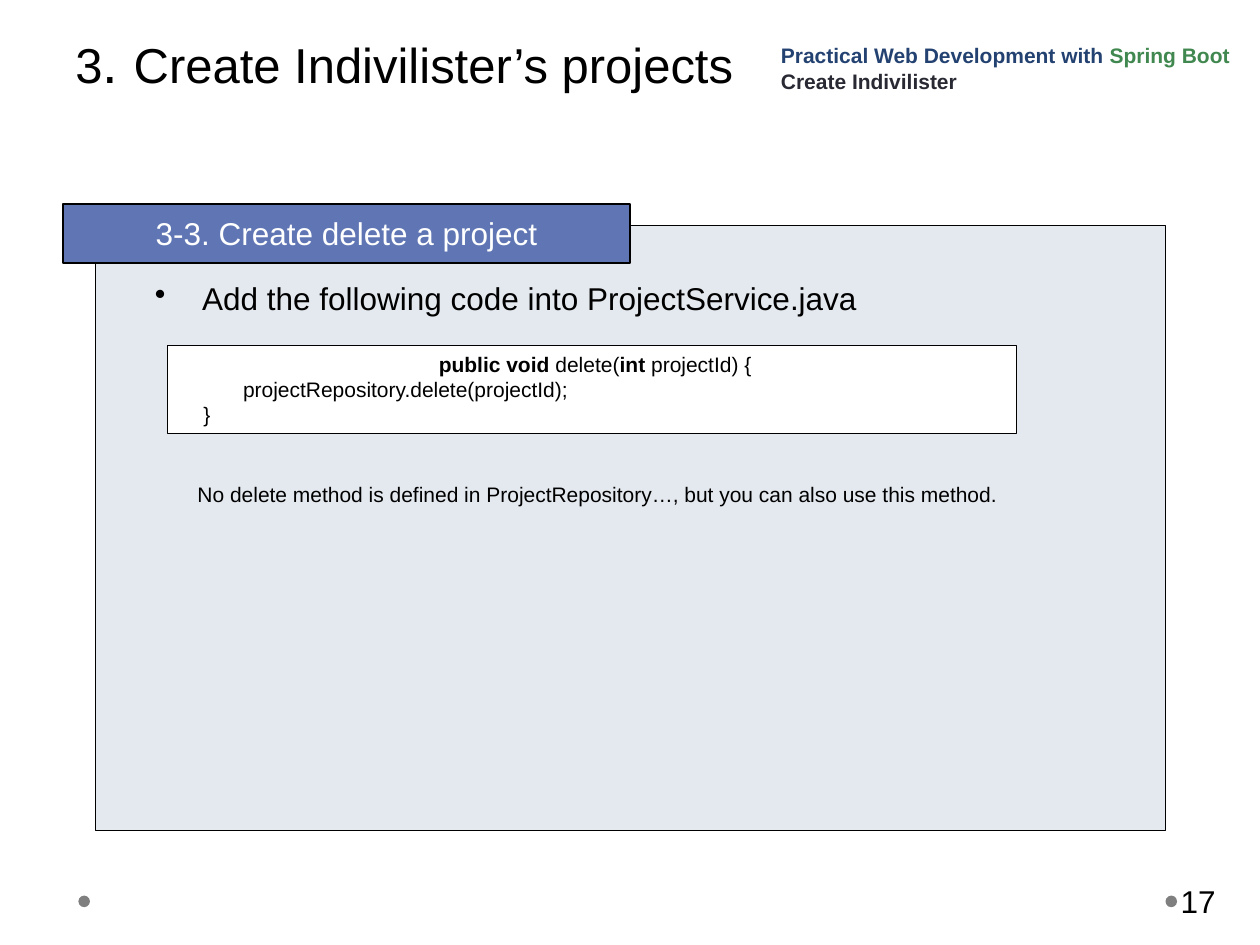
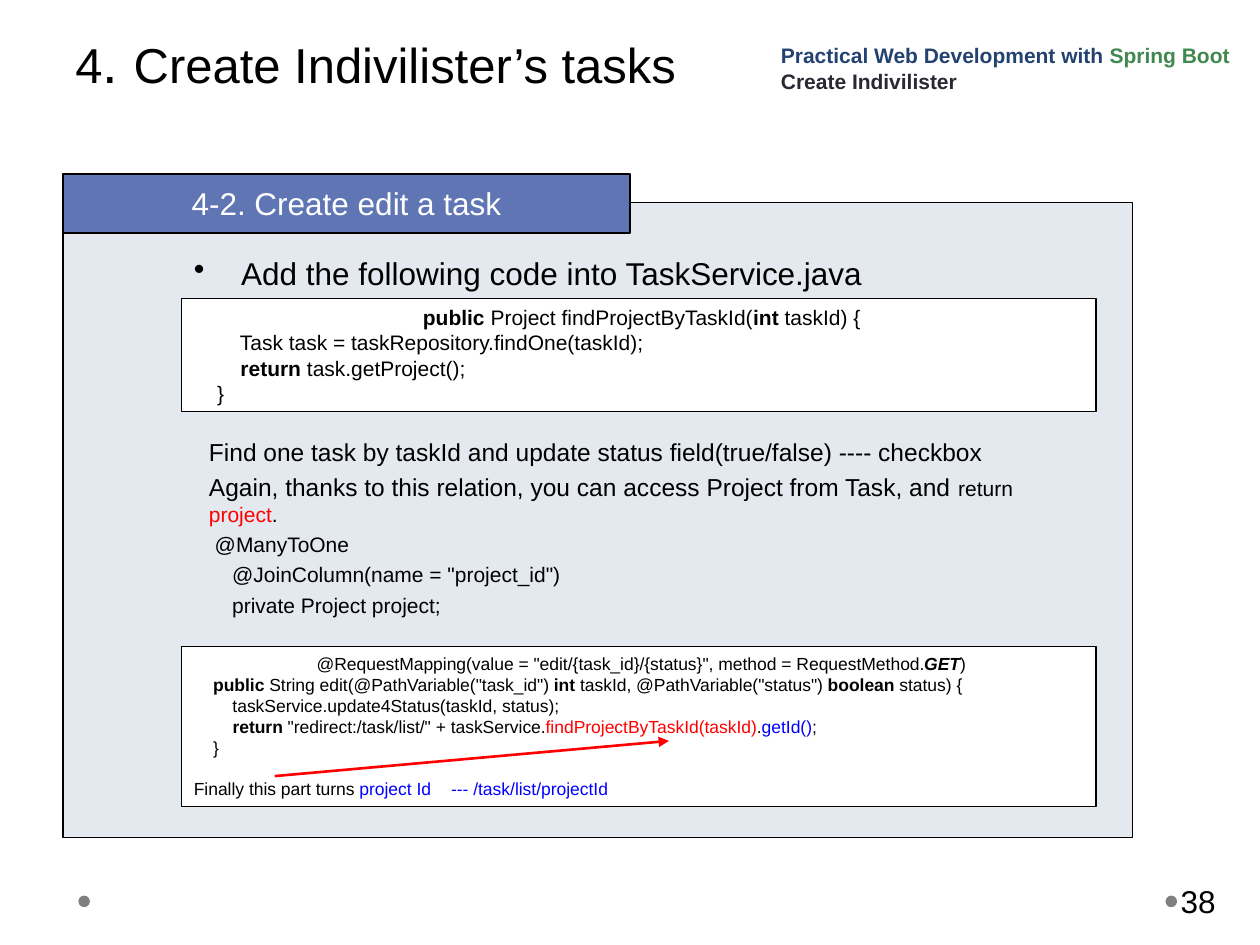
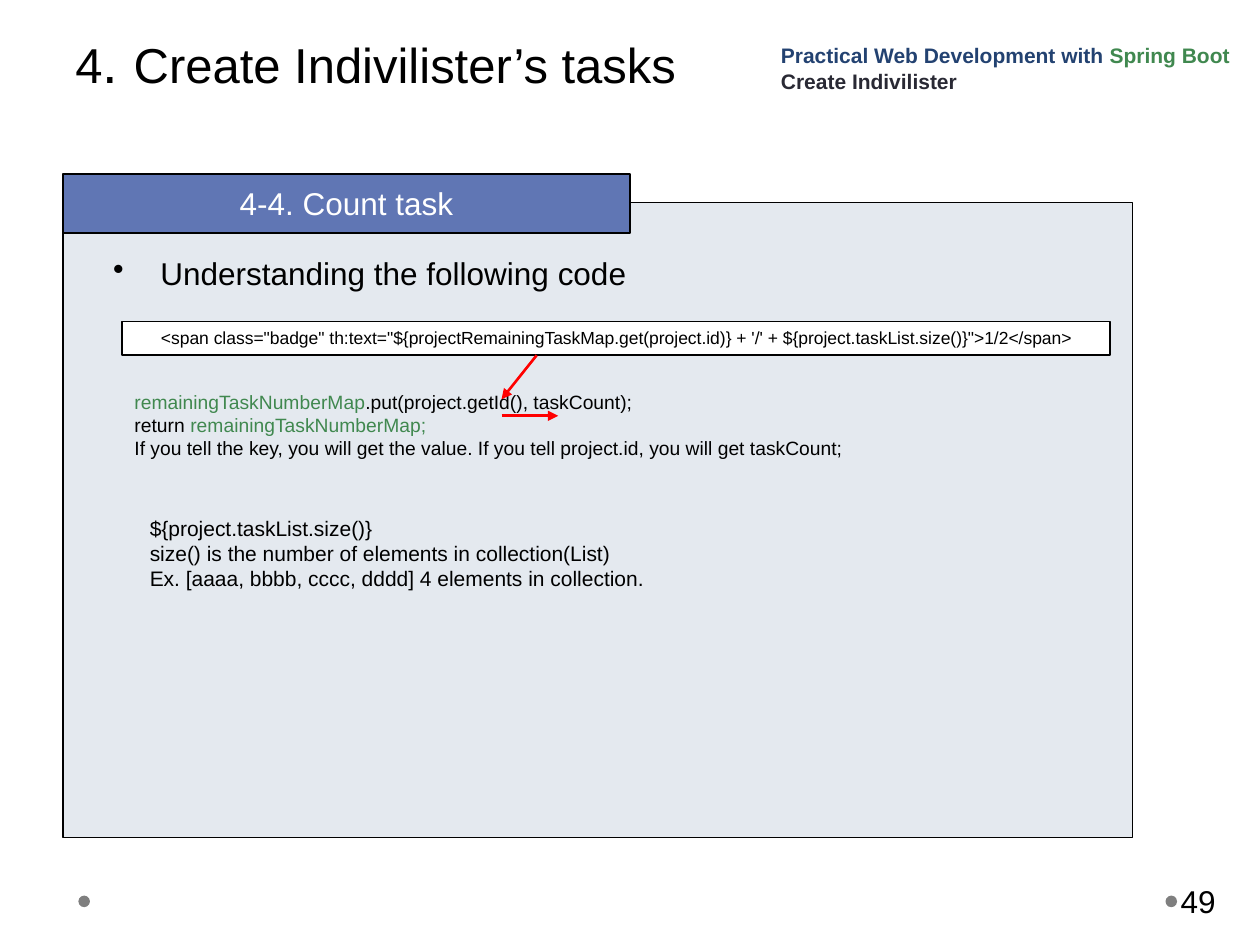
from dataclasses import dataclass

from lxml import etree
from pptx import Presentation
from pptx.dml.color import RGBColor
from pptx.enum.shapes import MSO_CONNECTOR, MSO_SHAPE
from pptx.enum.text import MSO_ANCHOR
from pptx.oxml.ns import qn
from pptx.util import Pt

RECTANGLE = MSO_SHAPE.RECTANGLE
OVAL = MSO_SHAPE.OVAL
STRAIGHT = MSO_CONNECTOR.STRAIGHT
TOP = MSO_ANCHOR.TOP
MIDDLE = MSO_ANCHOR.MIDDLE
BOTTOM = MSO_ANCHOR.BOTTOM

FONT = "Arial"
BLACK, WHITE, GRAY = "000000", "FFFFFF", "7F7F7F"
PANEL_FILL, BAND_FILL = "E4E9EF", "6076B4"
NAVY, GREEN, DARK = "234271", "40884F", "292934"
RED, BLUE = "FF0000", "0000FF"


@dataclass
class Box:
    left: float
    top: float
    width: float
    height: float

    def inside(self, dx, dy, width, height):
        return Box(self.left + dx, self.top + dy, width, height)

    def lengths(self):
        return [Pt(n) for n in (self.left, self.top, self.width, self.height)]


PAGE = Box(0, 0, 720, 540)
FIRST_PANEL = Box(54.7, 128.9, 611.3, 345.6)
TASK_PANEL = Box(36, 115.9, 611.3, 362.9)


def rgb(value):
    return RGBColor.from_string(value)


def bold(text, **style):
    return text, {"bold": True, **style}


def tinted(text, color, **style):
    return text, {"color": color, **style}


def sized(text, size):
    return text, {"size": size}


def add_child(parent, tag, **attributes):
    return etree.SubElement(parent, qn(tag), attributes)


def format_paragraph(para, bullet, tab):
    properties = para._p.get_or_add_pPr()
    if bullet:
        properties.set("marL", str(Pt(27)))
        properties.set("indent", str(-Pt(27)))
        add_child(add_child(properties, "a:buClr"), "a:srgbClr", val=BLACK)
        add_child(properties, "a:buChar", char="•")
    if tab:
        tabs = add_child(properties, "a:tabLst")
        add_child(tabs, "a:tab", pos=str(Pt(tab)), algn="l")


def write_text(shape, lines, size=12, color=BLACK, bold=False, anchor=TOP,
               insets=(7.2, 3.6, 7.2, 3.6), gap=0, spacing=None,
               bullet=False, tab=None):
    frame = shape.text_frame
    frame.word_wrap = True
    frame.vertical_anchor = anchor
    (frame.margin_left, frame.margin_top,
     frame.margin_right, frame.margin_bottom) = [Pt(n) for n in insets]
    for index, line in enumerate(lines):
        para = frame.add_paragraph() if index else frame.paragraphs[0]
        format_paragraph(para, bullet, tab)
        if index and gap:
            para.space_before = Pt(gap)
        if spacing:
            para.line_spacing = spacing
        for part in [line] if isinstance(line, str) else line:
            text, style = (part, {}) if isinstance(part, str) else part
            span = para.add_run()
            span.text = text
            span.font.name = FONT
            span.font.size = Pt(style.get("size", size))
            span.font.bold = style.get("bold", bold)
            span.font.italic = style.get("italic", False)
            span.font.color.rgb = rgb(style.get("color", color))
    return frame


def add_text(page, box, lines, **style):
    return write_text(page.shapes.add_textbox(*box.lengths()), lines, **style)


def add_shape(page, box, fill, kind=RECTANGLE, outline=BLACK):
    shape = page.shapes.add_shape(kind, *box.lengths())
    shape.shadow.inherit = False
    shape.fill.solid()
    shape.fill.fore_color.rgb = rgb(fill)
    if outline:
        shape.line.color.rgb = rgb(outline)
        shape.line.width = Pt(0.75)
    else:
        shape.line.fill.background()
    return shape


def add_code(page, box, lines, **style):
    return write_text(add_shape(page, box, WHITE), lines, **style)


def add_arrow(page, box, start, end):
    points = [Pt(n) for x, y in (start, end)
              for n in (box.left + x, box.top + y)]
    arrow = page.shapes.add_connector(STRAIGHT, *points)
    arrow.line.color.rgb = rgb(RED)
    arrow.line.width = Pt(1.5)
    add_child(arrow.line._get_or_add_ln(), "a:tailEnd", type="triangle")
    add_child(arrow._element.spPr, "a:effectLst")


def add_footer(page, box, number):
    for dx in (666, 44.8):
        add_shape(page, box.inside(dx, 511.8, 6.6, 6.6), GRAY, OVAL, None)
    add_text(page, box.inside(672.5, 500.4, 44, 28.8), [number], size=18,
             anchor=MIDDLE, insets=(2.2, 3.6, 3.6, 3.6))


def add_header(page, box, number, title):
    add_text(page, box.inside(36, 0, 648, 116),
             [[number, sized(". ", 32), title]],
             size=28, insets=(7.2, 15.6, 7.2, 3.6))
    add_text(page, box.inside(439.2, 17.3, 280.8, 39.6),
             [["Practical Web Development with ",
               tinted("Spring Boot", GREEN, bold=True)],
              [tinted("Create Indivilister", DARK, bold=True)]],
             color=NAVY, bold=True, anchor=BOTTOM)


def add_panel(page, box, heading, band_at, bullet, bullet_box):
    add_shape(page, box, PANEL_FILL)
    band = add_shape(page, box.inside(*band_at, 324, 33.8), BAND_FILL)
    write_text(band, [heading], size=18, color=WHITE, spacing=1.1)
    add_text(page, box.inside(*bullet_box, 28.8), [bullet],
             size=18, bullet=True)


def add_page(deck, page_number, chapter, title):
    page = deck.slides.add_slide(deck.slide_layouts[6])
    add_footer(page, PAGE, page_number)
    add_header(page, PAGE, chapter, title)
    return page


def build_delete_project(deck, panel):
    page = add_page(deck, "17", "3", "Create Indivilister’s projects")
    add_panel(page, panel, "3-3. Create delete a project", (-18.7, -12.3),
              "Add the following code into ProjectService.java",
              (26.7, 27.3, 557.3))
    add_text(page, panel.inside(51.1, 142.5, 491.8, 97.2),
             ["No delete method is defined in ProjectRepository…, "
              "but you can also use this method."])
    add_code(page, panel.inside(41.1, 68.4, 485.3, 50.4), [
        [" ", bold("public void"), " delete(", bold("int"), " projectId) {"],
        "\tprojectRepository.delete(projectId);",
        "    }",
    ], tab=36)


def build_edit_task(deck, panel):
    page = add_page(deck, "38", "4", "Create Indivilister’s tasks")
    add_panel(page, panel, "4-2. Create edit a task", (0, -16.5),
              "Add the following code into TaskService.java",
              (67.7, 25.9, 557.3))
    add_text(page, panel.inside(76.3, 130.3, 493.2, 108), [
        [sized("Find one task by taskId and update status field(true/false) "
               "---- checkbox", 14)],
        [sized("Again, thanks to this relation, you can access Project from "
               "Task, and ", 14), "return ", tinted("project", RED), "."],
        " @ManyToOne",
        '    @JoinColumn(name = "project_id")',
        "    private Project project;",
    ], gap=3)
    add_code(page, panel.inside(67.7, 54.7, 522.7, 64.8), [
        [" ", bold("public"), " Project findProjectByTaskId(", bold("int"),
         " taskId) {"],
        "        Task task = taskRepository.findOne(taskId);",
        ["        ", bold("return"), " task.getProject();"],
        "    }",
    ])
    controller = add_code(page, panel.inside(67.7, 253.5, 522.7, 91.4), [
        [' @RequestMapping(value = "edit/{task_id}/{status}", '
         "method = RequestMethod.", bold("GET", italic=True), ")"],
        ["    ", bold("public"), ' String edit(@PathVariable("task_id") ',
         bold("int"), ' taskId, @PathVariable("status") ', bold("boolean"),
         " status) {"],
        "        taskService.update4Status(taskId, status);",
        ["        ", bold("return"),
         ' "redirect:/task/list/" + taskService.',
         tinted("findProjectByTaskId(taskId)", RED), ".",
         tinted("getId()", BLUE), ";"],
        "    }",
        ["Finally this part turns ",
         tinted("project Id\t--- /task/list/projectId", BLUE)],
    ], size=10, tab=147)
    controller.paragraphs[-1].space_before = Pt(11.5)
    add_arrow(page, panel, (121, 327.6), (346.3, 307.5))


def build_count_task(deck, panel):
    page = add_page(deck, "49", "4", "Create Indivilister’s tasks")
    add_panel(page, panel, "4-4. Count task", (0, -16.5),
              "Understanding the following code", (21.6, 25.9, 589.7))
    add_code(page, panel.inside(33.8, 67.7, 564.5, 19.4), [
        '<span class="badge" th:text="${projectRemainingTaskMap.get(project.id)}'
        " + '/' + ${project.taskList.size()}\">1/2</span>",
    ], size=10)
    add_text(page, panel.inside(33.8, 103.7, 542.2, 46.8), [
        [tinted("remainingTaskNumberMap", GREEN),
         ".put(project.getId(), taskCount);"],
        ["return ", tinted("remainingTaskNumberMap;", GREEN)],
        "If you tell the key, you will get the value. "
        "If you tell project.id, you will get taskCount;",
    ], size=11)
    add_arrow(page, panel, (270.7, 87.1), (250.6, 112.3))
    add_arrow(page, panel, (250.6, 121.7), (283, 121.7))
    add_text(page, panel.inside(42.5, 175, 430.6, 50.4), [
        "${project.taskList.size()}",
        "size() is the number of elements in collection(List)",
        "Ex. [aaaa, bbbb, cccc, dddd] 4 elements in collection.",
    ])


def main():
    deck = Presentation()
    deck.slide_width, deck.slide_height = Pt(PAGE.width), Pt(PAGE.height)
    build_delete_project(deck, FIRST_PANEL)
    build_edit_task(deck, TASK_PANEL)
    build_count_task(deck, TASK_PANEL)
    deck.save("out.pptx")


if __name__ == "__main__":
    main()
